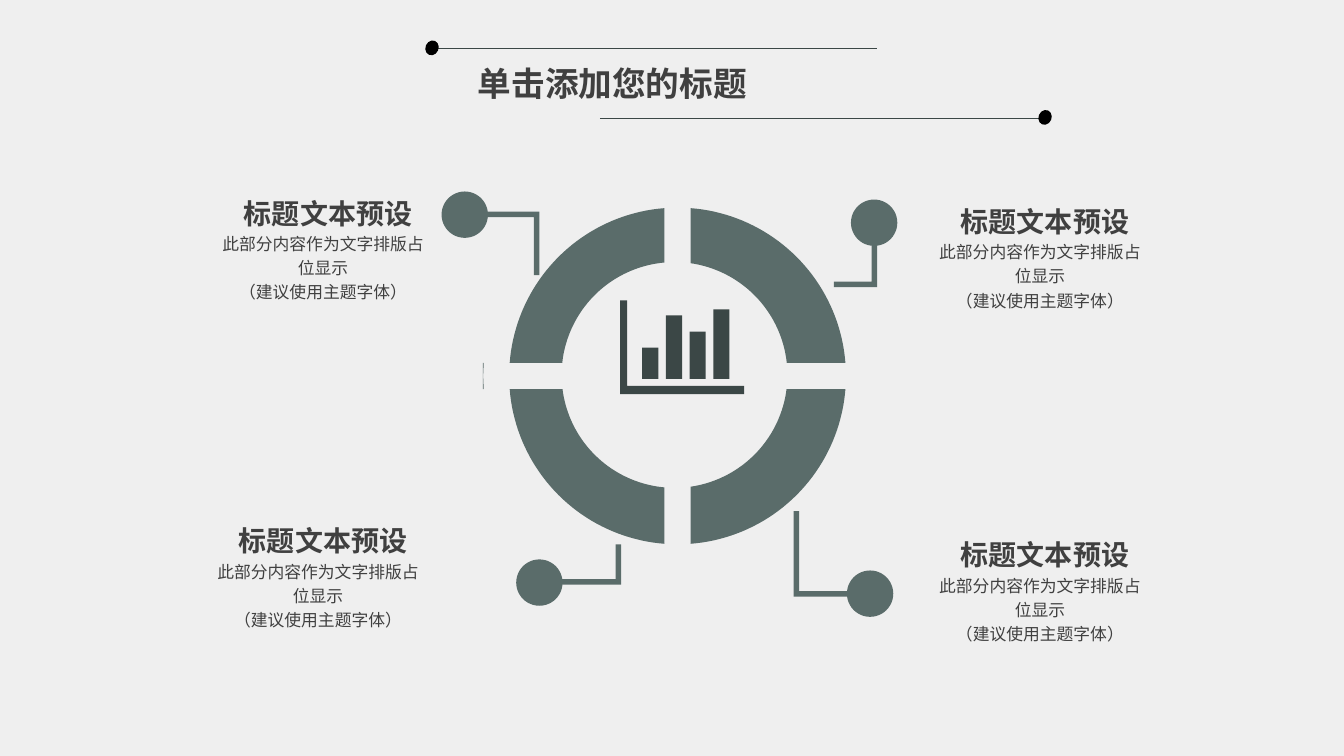
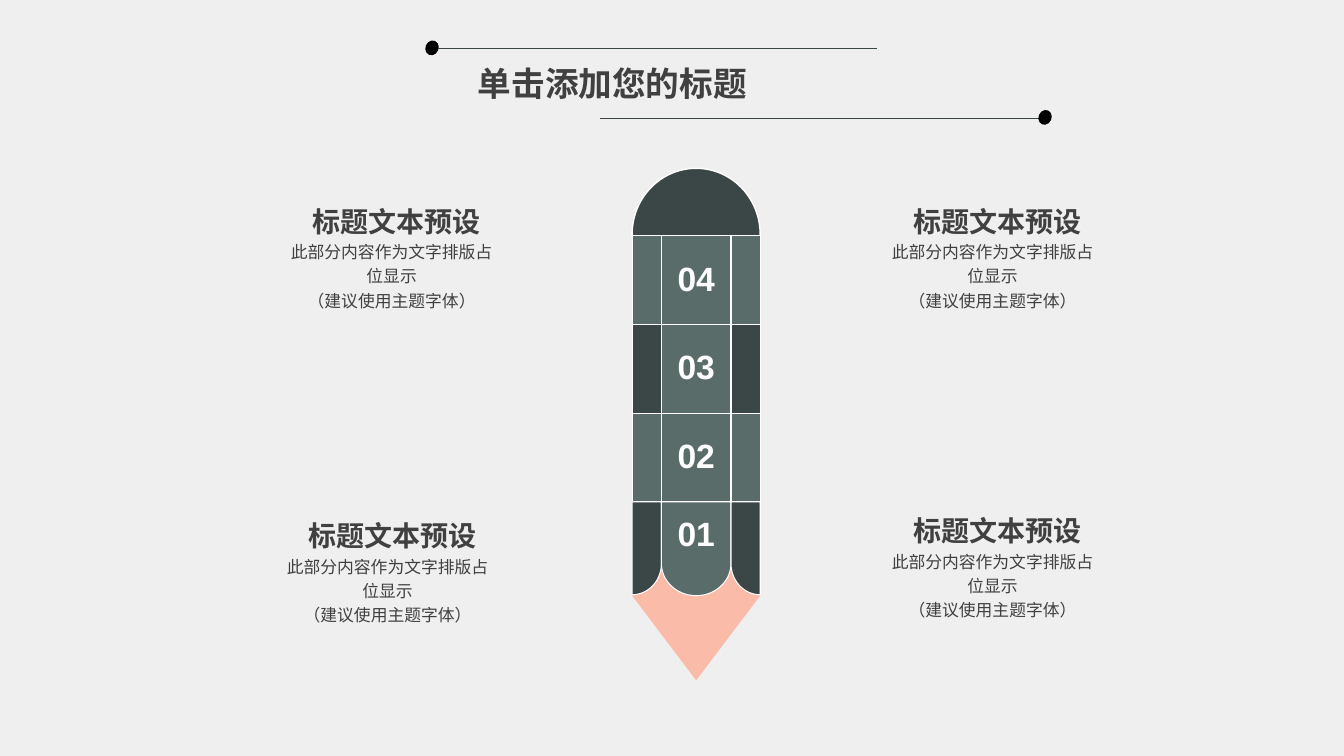
"""Build two infographic slides: a four-part ring and a segmented pencil."""
import math
from dataclasses import dataclass
from typing import NamedTuple

from lxml import etree
from pptx import Presentation
from pptx.dml.color import RGBColor
from pptx.enum.shapes import MSO_CONNECTOR, MSO_SHAPE
from pptx.enum.text import MSO_ANCHOR, MSO_AUTO_SIZE, PP_ALIGN
from pptx.oxml.ns import qn
from pptx.util import Inches, Pt

CELL = Inches(0.1)
COLUMNS, ROWS = 133.3, 75
TITLE_ONLY = 5
ELLIPSE, RECTANGLE, CHORD = MSO_SHAPE.OVAL, MSO_SHAPE.RECTANGLE, MSO_SHAPE.CHORD
STRAIGHT = MSO_CONNECTOR.STRAIGHT
CENTER, JUSTIFY = PP_ALIGN.CENTER, PP_ALIGN.JUSTIFY
TOP, MIDDLE, BOTTOM = MSO_ANCHOR.TOP, MSO_ANCHOR.MIDDLE, MSO_ANCHOR.BOTTOM
NO_AUTOFIT = MSO_AUTO_SIZE.NONE

TITLE = "单击添加您的标题"
HEADING = "标题文本预设"
DETAIL = "此部分内容作为文字排版占位显示\n（建议使用主题字体）"


@dataclass(frozen=True)
class Theme:
    """Colours, fonts, type sizes and line widths of the deck."""
    paper: str = "EFEFEF"
    ink: str = "404040"
    dark: str = "3B4746"
    sage: str = "5A6C6A"
    wood: str = "FBBBA9"
    knob: str = "000000"
    white: str = "FFFFFF"
    font: str = "Noto Sans CJK SC"
    number_font: str = "Arial"
    title_size: float = 24
    heading_size: float = 20
    detail_size: float = 12
    rail_width: float = 0.5
    seam_width: float = 0.75
    cap_width: float = 1


THEME = Theme()


class Point(NamedTuple):
    """A place on the grid."""
    x: float
    y: float


class Box(NamedTuple):
    """An area on the grid."""
    x: float
    y: float
    width: float
    height: float


class Rail(NamedTuple):
    """A title rule and the left edge of its knob."""
    start: float
    end: float
    y: float
    knob: float


class Leader(NamedTuple):
    """An elbow from a round marker towards the ring."""
    corner: Point
    end_x: float
    end_y: float
    marker: Point


class Segment(NamedTuple):
    """A numbered pencil row and the fill of its sides."""
    number: str
    side: str


RAILS = (Rail(43.3, 87, 4.8, 42.2), Rail(59.5, 103.1, 11.7, 103))
LEADERS = (
    Leader(Point(53.5, 21), 45.7, 27.3, Point(46.1, 21.3)),
    Leader(Point(87, 28.5), 82.7, 23.8, Point(86.7, 22.1)),
    Leader(Point(61.6, 58), 53.8, 54, Point(53.5, 57.8)),
    Leader(Point(78.7, 59.2), 86.2, 50.7, Point(86.3, 58.9)),
)
RING_NOTES = (Point(21.7, 18.2), Point(21.2, 50.7), Point(92.8, 19), Point(92.8, 52.1))
PENCIL_NOTES = (Point(28.5, 19), Point(28.1, 50.2), Point(88.1, 19), Point(88.1, 49.7))
SEGMENTS = (Segment("04", THEME.sage), Segment("03", THEME.dark), Segment("02", THEME.sage))


def grid(*lengths: float) -> list[int]:
    """Convert grid lengths to slide units."""
    return [round(length * CELL) for length in lengths]


def rgb(color: str) -> RGBColor:
    """Convert a theme colour."""
    return RGBColor.from_string(color)


def paint(shape, fill: str, outline: str | None = None, width: float = 0) -> None:
    """Give a shape a flat fill and an optional outline."""
    shape.shadow.inherit = False
    shape.fill.solid()
    shape.fill.fore_color.rgb = rgb(fill)
    if outline:
        shape.line.color.rgb = rgb(outline)
        shape.line.width = Pt(width)
    else:
        shape.line.fill.background()


def add_preset(slide, kind, box: Box, fill: str, outline: str | None = None, width: float = 0):
    """Add a painted preset shape."""
    shape = slide.shapes.add_shape(kind, *grid(*box))
    paint(shape, fill, outline, width)
    return shape


def add_outline(slide, contours, fill: str, outline: str | None = None, width: float = 0) -> None:
    """Add one painted freeform made of closed contours."""
    first = contours[0]
    builder = slide.shapes.build_freeform(*grid(*first[0]))
    builder.add_line_segments([grid(*point) for point in first[1:]], close=True)
    for contour in contours[1:]:
        builder.move_to(*grid(*contour[0]))
        builder.add_line_segments([grid(*point) for point in contour[1:]], close=True)
    paint(builder.convert_to_shape(), fill, outline, width)


def arc(center: Point, rx: float, ry: float, start: float, end: float) -> list[Point]:
    """Sample an elliptical arc between two angles in radians."""
    steps = 40
    angles = [start + (end - start) * step / steps for step in range(steps + 1)]
    return [Point(center.x + rx * math.cos(a), center.y + ry * math.sin(a)) for a in angles]


def corners(box: Box) -> list[Point]:
    """List the corners of a box."""
    right, bottom = box.x + box.width, box.y + box.height
    return [Point(box.x, box.y), Point(right, box.y), Point(right, bottom), Point(box.x, bottom)]


def elbow(corner: Point, end_x: float, end_y: float, across: float, down: float) -> list[Point]:
    """Outline an L from its outer corner and the thickness of its two arms."""
    inner_x = corner.x + math.copysign(across, end_x - corner.x)
    inner_y = corner.y + math.copysign(down, end_y - corner.y)
    return [corner, Point(end_x, corner.y), Point(end_x, inner_y),
            Point(inner_x, inner_y), Point(inner_x, end_y), Point(corner.x, end_y)]


def write(frame, text: str, *, size: float, color: str = THEME.ink, font: str = THEME.font,
          bold: bool = True, align=CENTER, anchor=TOP, spacing: float = 1.0,
          wrap: bool = True, inset: float = 0) -> None:
    """Fill a text frame and format it."""
    frame.auto_size = NO_AUTOFIT
    frame.word_wrap = wrap
    frame.vertical_anchor = anchor
    frame.margin_left = frame.margin_right = CELL * inset
    frame.margin_top = frame.margin_bottom = round(CELL * inset / 2)
    paragraph = frame.paragraphs[0]
    paragraph.text = text.replace("\n", "\v")
    paragraph.alignment = align
    paragraph.line_spacing = spacing
    for run in paragraph.runs:
        run.font.size = Pt(size)
        run.font.bold = bold
        run.font.name = font
        run.font.color.rgb = rgb(color)
        etree.SubElement(run._r.get_or_add_rPr(), qn("a:ea"), typeface=font)


def add_text(slide, box: Box, text: str, **style) -> None:
    """Add a formatted text box."""
    write(slide.shapes.add_textbox(*grid(*box)).text_frame, text, **style)


def add_rail(slide, rail: Rail) -> None:
    """Draw a title rule with its knob."""
    rule = slide.shapes.add_connector(STRAIGHT, *grid(rail.start, rail.y, rail.end, rail.y))
    rule.line.color.rgb = rgb(THEME.dark)
    rule.line.width = Pt(THEME.rail_width)
    etree.SubElement(rule._element.spPr, qn("a:effectLst"))
    add_preset(slide, ELLIPSE, Box(rail.knob, rail.y - 0.8, 1.3, 1.5), THEME.knob).rotation = 23


def add_titled_slide(prs):
    """Add a slide with the shared title band."""
    slide = prs.slides.add_slide(prs.slide_layouts[TITLE_ONLY])
    title = slide.shapes.title
    title.left, title.top, title.width, title.height = grid(46.4, 5.7, 43.5, 5)
    write(title.text_frame, TITLE, size=THEME.title_size, align=JUSTIFY, inset=1)
    for rail in RAILS:
        add_rail(slide, rail)
    return slide


def add_notes(slide, places: tuple[Point, ...]) -> None:
    """Place a heading with its detail at each point."""
    for x, y in places:
        add_text(slide, Box(x, y, 21.7, 4.6), HEADING, size=THEME.heading_size,
                 anchor=BOTTOM, wrap=False)
        add_text(slide, Box(x, y + 4.6, 20.7, 3.2), DETAIL, size=THEME.detail_size,
                 bold=False, spacing=1.2)


def quadrant_arc(center: Point, radius: float, edge: Point, side: Point) -> list[Point]:
    """Sample the part of a circle that one ring quadrant shows."""
    start = math.asin((edge.y - center.y) * side.y / radius)
    end = math.acos((edge.x - center.x) * side.x / radius)
    return arc(center, side.x * radius, side.y * radius, start, end)


def add_ring(slide) -> None:
    """Draw the four ring quadrants and the sliver beside them."""
    center, hole, half_gap = Point(67.2, 37.3), Point(66.9, 37.2), 1.3
    for side in (Point(x, y) for x in (-1, 1) for y in (-1, 1)):
        edge = Point(center.x + side.x * half_gap, center.y + side.y * half_gap)
        outer = quadrant_arc(center, 16.7, edge, side)
        inner = quadrant_arc(hole, 11.2, edge, side)
        add_outline(slide, [outer + inner[::-1]], THEME.sage)
    sliver = [Point(47.9, 36), Point(47.98, 36), Point(47.92, center.y),
              Point(47.98, 38.6), Point(47.9, 38.6)]
    add_outline(slide, [sliver], THEME.sage)


def add_leader(slide, leader: Leader) -> None:
    """Draw an elbow and its round marker."""
    thickness, size = 0.55, 4.6
    add_outline(slide, [elbow(leader.corner, leader.end_x, leader.end_y, thickness, thickness)],
                THEME.sage)
    x, y = leader.marker
    add_preset(slide, ELLIPSE, Box(x - size / 2, y - size / 2, size, size), THEME.sage)


def add_bar_icon(slide) -> None:
    """Draw the bar chart icon inside the ring."""
    base = 37.6
    tops = (34.5, 31.3, 32.9, 30.7)
    bars = [corners(Box(63.7 + 2.35 * i, top, 1.6, base - top)) for i, top in enumerate(tops)]
    axes = elbow(Point(61.5, 39.1), 73.8, 29.8, 0.7, 0.8)
    add_outline(slide, [axes, *bars], THEME.dark)


def add_pencil(slide) -> None:
    """Draw the pencil with its numbered segments."""
    left, inner_left, inner_right, right = 62.7, 65.6, 72.5, 75.4
    middle = (left + right) / 2
    top, step, shoulder = 23.4, 8.8, 55.9
    seam = (THEME.white, THEME.seam_width)
    bottom = top + step * len(SEGMENTS)

    tip = [Point(left, 59.1), Point(inner_left, shoulder), Point(inner_right, shoulder),
           Point(right, 59.1), Point(middle, 67.5)]
    add_outline(slide, [tip], THEME.wood)
    cap = add_preset(slide, CHORD, Box(left, 16.7, right - left, 13.1), THEME.dark,
                     THEME.white, THEME.cap_width)
    cap.adjustments[0], cap.adjustments[1] = 106.95, 1.06

    quarter, half = math.pi / 2, math.pi
    side = inner_left - left
    scallops = (
        (left, inner_left, arc(Point(left, shoulder), side, 3.1, 0, quarter), THEME.dark),
        (inner_left, inner_right,
         arc(Point(middle, shoulder), (inner_right - inner_left) / 2, 3.2, 0, half), THEME.sage),
        (inner_right, right, arc(Point(right, shoulder), side, 3.1, quarter, half), THEME.dark),
    )
    for start, end, curve, fill in scallops:
        add_outline(slide, [[Point(start, bottom), Point(end, bottom), *curve]], fill, *seam)

    labels = [("01", bottom)]
    for row, segment in enumerate(SEGMENTS):
        y = top + step * row
        fills = (segment.side, THEME.sage, segment.side)
        edges = (left, inner_left, inner_right, right)
        for start, end, fill in zip(edges, edges[1:], fills):
            add_preset(slide, RECTANGLE, Box(start, y, end - start, step), fill, *seam)
        labels.append((segment.number, y + 1.1))
    for number, y in labels:
        add_text(slide, Box(inner_left, y, inner_right - inner_left, 6.1), number,
                 size=THEME.title_size, color=THEME.white, font=THEME.number_font,
                 anchor=MIDDLE, wrap=False)


def main() -> None:
    """Build and save the deck."""
    prs = Presentation()
    prs.slide_width, prs.slide_height = grid(COLUMNS, ROWS)
    backdrop = prs.slide_master.background.fill
    backdrop.solid()
    backdrop.fore_color.rgb = rgb(THEME.paper)

    ring_slide = add_titled_slide(prs)
    add_ring(ring_slide)
    for leader in LEADERS:
        add_leader(ring_slide, leader)
    add_bar_icon(ring_slide)
    add_notes(ring_slide, RING_NOTES)

    pencil_slide = add_titled_slide(prs)
    add_pencil(pencil_slide)
    add_notes(pencil_slide, PENCIL_NOTES)
    prs.save("out.pptx")


if __name__ == "__main__":
    main()
